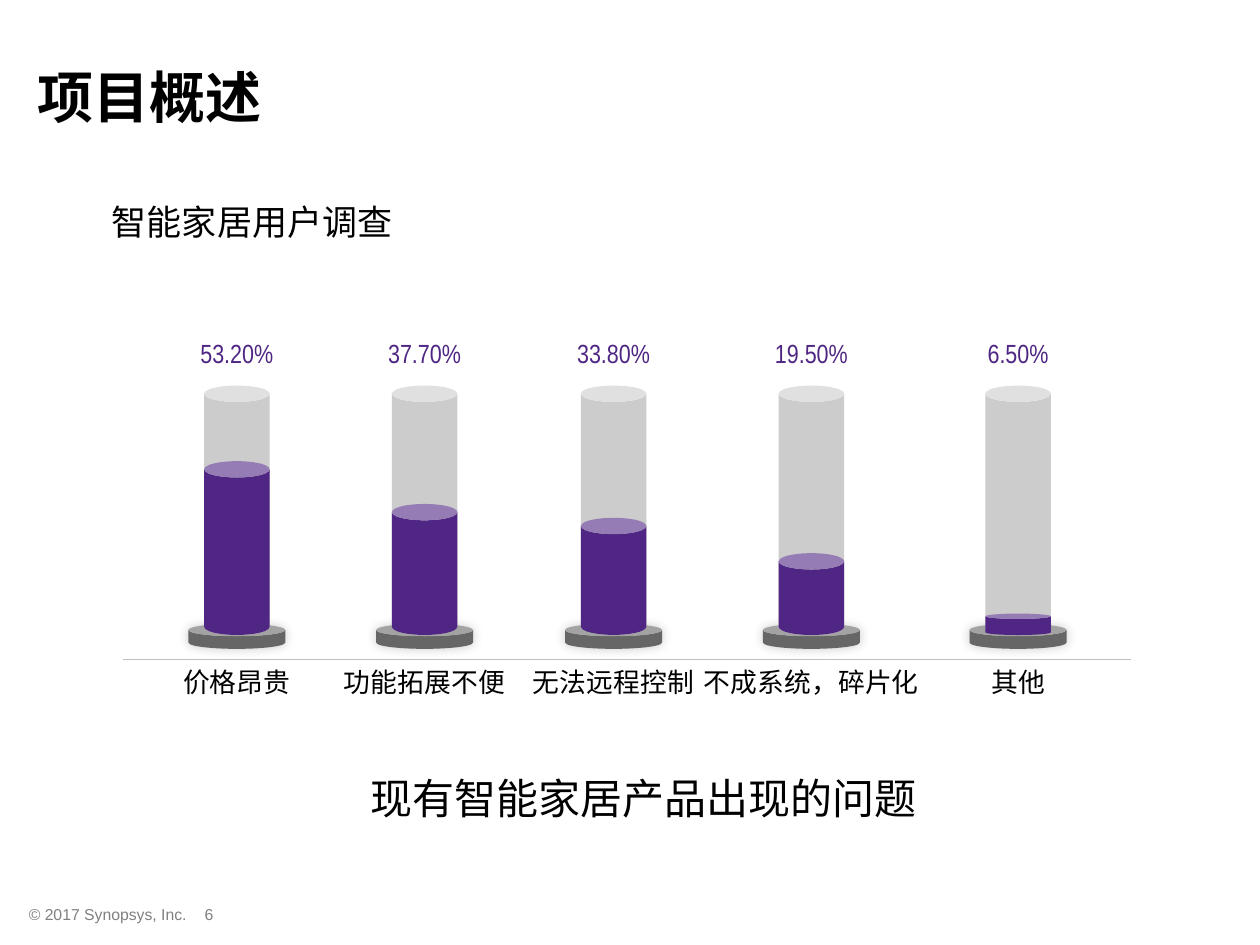
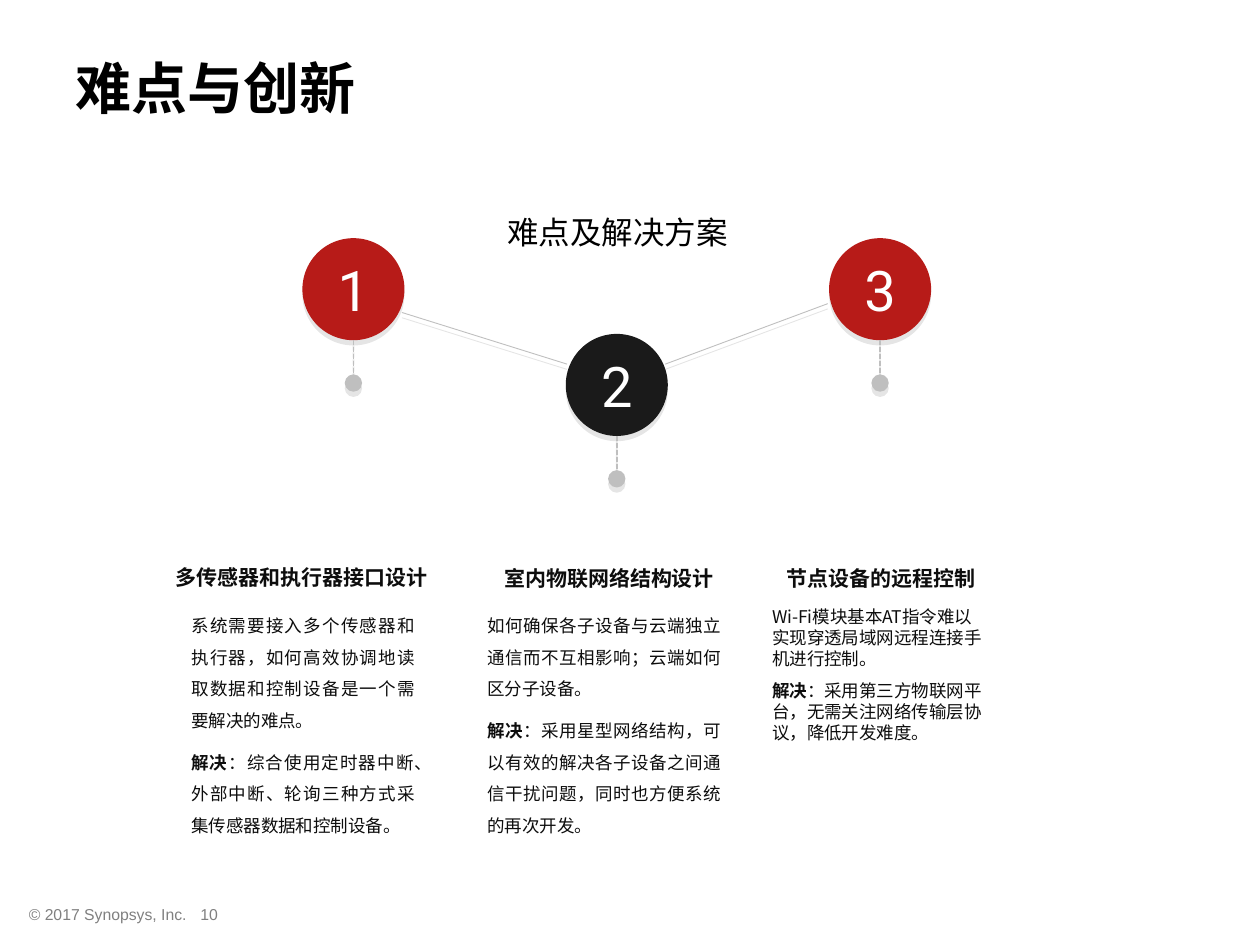
import dataclasses

import lxml.etree
import pptx
import pptx.dml.color
import pptx.enum.dml
import pptx.enum.shapes
import pptx.enum.text
import pptx.oxml.ns
import pptx.util

Inches = pptx.util.Inches
Pt = pptx.util.Pt
RGB = pptx.dml.color.RGBColor.from_string
qn = pptx.oxml.ns.qn
Align = pptx.enum.text.PP_ALIGN
Anchor = pptx.enum.text.MSO_ANCHOR
Shape = pptx.enum.shapes.MSO_SHAPE
STRAIGHT = pptx.enum.shapes.MSO_CONNECTOR.STRAIGHT


@dataclasses.dataclass(frozen=True)
class Theme:
    black: str = "000000"
    ink: str = "0D0D0D"
    white: str = "FFFFFF"
    footer_gray: str = "808080"
    line_gray: str = "BFBFBF"
    base_gray: str = "666666"
    tube_gray: str = "CCCCCC"
    purple: str = "4F2683"
    red: str = "B71B18"
    dark: str = "1A1A1A"
    latin: str = "Arial"
    narrow: str = "Arial Narrow"
    chinese: str = "Noto Sans CJK SC"
    digits: str = "Roboto"
    title_size: float = 32
    conclusion_size: float = 24
    subtitle_size: float = 20
    caption_size: float = 18
    label_size: float = 15.3
    value_size: float = 15
    heading_size: float = 12
    body_size: float = 10
    footer_size: float = 9


theme = Theme()

# Shadows: opacity in percent, blur and distance in points, direction in degrees
BASE_SHADOW = (20, 6, 0, 225)
DROP_SHADOW = (10, 0, 3, 90)

# Text frame and paragraph formats
NO_MARGINS = dict(margin_left=0, margin_top=0, margin_right=0, margin_bottom=0)
UNWRAPPED = dict(NO_MARGINS, word_wrap=False)
MIDDLE = dict(vertical_anchor=Anchor.MIDDLE)
CENTERED = dict(alignment=Align.CENTER)


def write_text(shape, paragraphs, font, paragraph_format=None, frame_format=None):
    """Write paragraphs, each a list of runs; the first of several runs is a bold lead-in."""
    name, size, color, bold = font
    frame = shape.text_frame
    frame_values = dict(word_wrap=True, auto_size=pptx.enum.text.MSO_AUTO_SIZE.NONE)
    frame_values.update(frame_format or {})
    for attribute, value in frame_values.items():
        setattr(frame, attribute, value)
    for index, runs in enumerate(paragraphs):
        paragraph = frame.add_paragraph() if index else frame.paragraphs[0]
        for attribute, value in (paragraph_format or {}).items():
            if index or attribute != "space_before":
                setattr(paragraph, attribute, value)
        for position, text in enumerate(runs):
            run = paragraph.add_run()
            run.text = text
            lead_in = len(runs) > 1 and position == 0
            font_values = dict(name=name, size=Pt(size), bold=bold or lead_in)
            for attribute, value in font_values.items():
                setattr(run.font, attribute, value)
            run.font.color.rgb = RGB(color)
            properties = run.font._element
            properties.set("lang", "zh-CN")
            east_asian = lxml.etree.Element(qn("a:ea"), typeface=theme.chinese)
            properties.find(qn("a:latin")).addnext(east_asian)


def set_effects(shape, shadow=None):
    """Replace the theme's shadow with the given one, or with none."""
    effects = lxml.etree.SubElement(shape.element.spPr, qn("a:effectLst"))
    if shadow:
        opacity, blur, distance, direction = shadow
        outer = lxml.etree.SubElement(
            effects, qn("a:outerShdw"), blurRad=str(Pt(blur)), dist=str(Pt(distance)),
            dir=str(direction * 60000), algn="ctr", rotWithShape="0")
        color = lxml.etree.SubElement(outer, qn("a:srgbClr"), val=theme.black)
        lxml.etree.SubElement(color, qn("a:alpha"), val=str(opacity * 1000))


presentation = pptx.Presentation()
presentation.slide_width = Inches(10)
presentation.slide_height = Inches(7.5)
title_only = presentation.slide_layouts[5]

# Titles and footers of both slides
slides = []
footer_font = (theme.latin, theme.footer_size, theme.footer_gray, False)
for title, left, top, number in [("项目概述", 0.2, 0.14, "6"), ("难点与创新", 0.5, 0.07, "10")]:
    slide = presentation.slides.add_slide(title_only)
    slides.append(slide)
    shape = slide.shapes.title
    position = dict(left=left, top=top, width=9.5, height=1.25)
    for attribute, value in position.items():
        setattr(shape, attribute, Inches(value))
    write_text(shape, [[title]], (theme.latin, theme.title_size, theme.black, True),
               dict(alignment=Align.LEFT), MIDDLE)
    for text, left, width, alignment in [
        ("© 2017 Synopsys, Inc.", 0.13, 3.08, Align.LEFT),
        (number, 1.31, 0.7, Align.CENTER),
    ]:
        shape = slide.shapes.add_textbox(Inches(left), Inches(7.13), Inches(width), Inches(0.25))
        write_text(shape, [[text]], footer_font, dict(alignment=alignment))

survey, challenges = slides

# Survey: one tube for each complaint (centre, share, filled height, label)
TUBE_BOTTOM = 5.04
TUBE_HEIGHT = 1.98
complaints = [
    (1.88, "53.20%", 1.38, "价格昂贵"),
    (3.37, "37.70%", 1.04, "功能拓展不便"),
    (4.87, "33.80%", 0.93, "无法远程控制"),
    (6.44, "19.50%", 0.65, "不成系统，碎片化"),
    (8.08, "6.50%", 0.17, "其他"),
]
for center, share, filled, label in complaints:
    for width, height, bottom, color, adjustment, shadow in [
        (0.77, 0.2, 5.15, theme.base_gray, 0.5, BASE_SHADOW),
        (0.52, TUBE_HEIGHT, TUBE_BOTTOM, theme.tube_gray, 0.25, None),
        (0.52, filled, TUBE_BOTTOM, theme.purple, 0.25, None),
    ]:
        can = survey.shapes.add_shape(
            Shape.CAN, Inches(center - width / 2), Inches(bottom - height),
            Inches(width), Inches(height))
        can.adjustments[0] = adjustment
        can.fill.solid()
        can.fill.fore_color.rgb = RGB(color)
        can.line.fill.background()
        set_effects(can, shadow)

    shape = survey.shapes.add_textbox(
        Inches(center - 0.16), Inches(2.7), Inches(0.32), Inches(0.2))
    write_text(shape, [[share]], (theme.narrow, theme.value_size, theme.purple, False),
               CENTERED, dict(UNWRAPPED, **MIDDLE))
    shape = survey.shapes.add_textbox(
        Inches(center - 0.91), Inches(5.28), Inches(1.82), Inches(0.21))
    write_text(shape, [[label]], (theme.chinese, theme.label_size, theme.black, False),
               CENTERED, UNWRAPPED)

    ground = survey.shapes.add_connector(
        STRAIGHT, Inches(center + 0.9), Inches(5.23), Inches(center - 0.9), Inches(5.23))
    ground.line.color.rgb = RGB(theme.line_gray)
    ground.line.width = Pt(0.25)
    set_effects(ground)

# Survey: subtitle and conclusion
shape = survey.shapes.add_textbox(Inches(0.79), Inches(1.58), Inches(3.96), Inches(0.58))
write_text(shape, [["智能家居用户调查"]],
           (theme.chinese, theme.subtitle_size, theme.black, False), dict(line_spacing=0.9))
shape = survey.shapes.add_textbox(Inches(1.94), Inches(6.08), Inches(6.34), Inches(0.5))
write_text(shape, [["现有智能家居产品出现的问题"]],
           (theme.chinese, theme.conclusion_size, theme.black, False), CENTERED)

# Challenges: lines between the circles
for start_x, start_y, end_x, end_y in [(3.19, 2.48, 4.5, 2.89), (5.28, 2.89, 6.57, 2.41)]:
    link = challenges.shapes.add_connector(
        STRAIGHT, Inches(start_x), Inches(start_y), Inches(end_x), Inches(end_y))
    link.line.color.rgb = RGB(theme.line_gray)
    link.line.width = Pt(0.5)
    set_effects(link, DROP_SHADOW)

# Challenges: numbered circles with pins
DIAMETER = 0.81
for index, (top, color) in enumerate(
        [(1.89, theme.red), (2.65, theme.dark), (1.89, theme.red)]):
    left = 2.4 + 2.09 * index
    center = left + DIAMETER / 2
    bottom = top + DIAMETER
    circle = challenges.shapes.add_shape(
        Shape.OVAL, Inches(left), Inches(top), Inches(DIAMETER), Inches(DIAMETER))
    circle.fill.solid()
    circle.fill.fore_color.rgb = RGB(color)
    circle.line.fill.background()
    set_effects(circle, DROP_SHADOW)
    write_text(circle, [[str(index + 1)]],
               (theme.digits, theme.title_size, theme.white, False), CENTERED, MIDDLE)

    pin = challenges.shapes.add_connector(
        STRAIGHT, Inches(center), Inches(bottom), Inches(center), Inches(bottom + 0.34))
    pin.line.color.rgb = RGB(theme.line_gray)
    pin.line.width = Pt(1)
    pin.line.dash_style = pptx.enum.dml.MSO_LINE.SQUARE_DOT
    lxml.etree.SubElement(pin.element.spPr.find(qn("a:ln")), qn("a:tailEnd"),
                          type="oval", w="lg", len="lg")
    set_effects(pin, DROP_SHADOW)

# Challenges: headings with problem and solution
heading_format = dict(CENTERED, line_spacing=1.2)
loose = dict(alignment=Align.JUSTIFY, line_spacing=1.5, space_before=Pt(6))
tight = dict(space_before=Pt(6))
columns = [
    ("多传感器和执行器接口设计", (1.33, 4.44, 2.13, 0.24), theme.chinese,
     "系统需要接入多个传感器和执行器，如何高效协调地读取数据和控制设备是一个需要解决的难点。",
     "：综合使用定时器中断、外部中断、轮询三种方式采集传感器数据和控制设备。",
     (1.42, 4.75, 1.97, 1.95), loose),
    ("室内物联网络结构设计", (3.85, 4.45, 1.97, 0.22), theme.chinese,
     "如何确保各子设备与云端独立通信而不互相影响；云端如何区分子设备。",
     "：采用星型网络结构，可以有效的解决各子设备之间通信干扰问题，同时也方便系统的再次开发。",
     (3.77, 4.75, 2.05, 1.95), loose),
    ("节点设备的远程控制", (6.01, 4.45, 1.97, 0.23), theme.latin,
     "Wi-Fi模块基本AT指令难以实现穿透局域网远程连接手机进行控制。",
     "：采用第三方物联网平台，无需关注网络传输层协议，降低开发难度。",
     (6.03, 4.76, 1.92, 1.19), tight),
]
for heading, heading_box, heading_font, problem, solution, body_box, body_format in columns:
    shape = challenges.shapes.add_textbox(*map(Inches, body_box))
    write_text(shape, [[problem], ["解决", solution]],
               (theme.chinese, theme.body_size, theme.ink, False), body_format)
    shape = challenges.shapes.add_textbox(*map(Inches, heading_box))
    write_text(shape, [[heading]], (heading_font, theme.heading_size, theme.ink, True),
               heading_format, NO_MARGINS)

# Challenges: caption
shape = challenges.shapes.add_textbox(Inches(3.89), Inches(1.64), Inches(2.02), Inches(0.4))
write_text(shape, [["难点及解决方案"]],
           (theme.latin, theme.caption_size, theme.black, False), CENTERED)

presentation.save("out.pptx")
